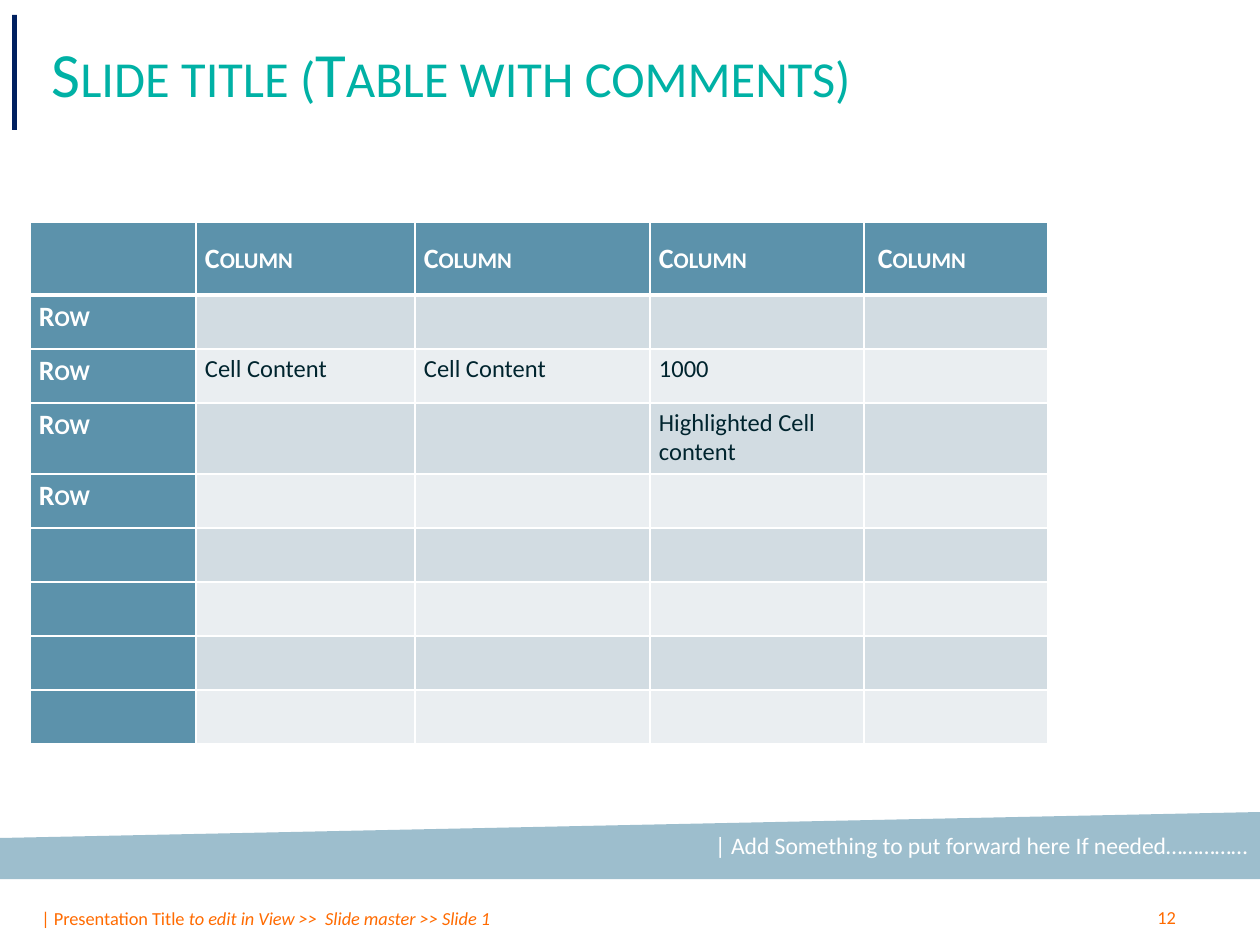
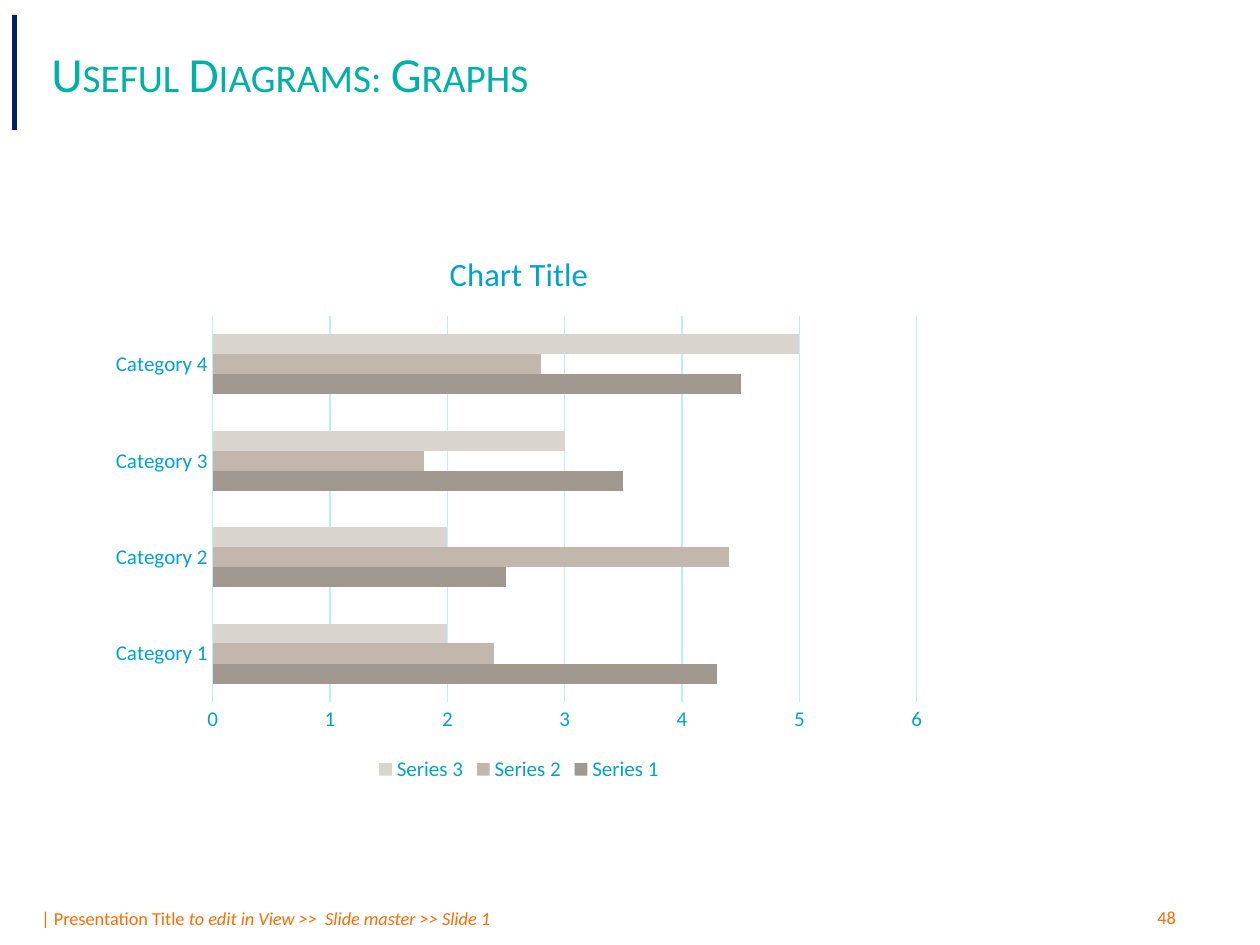
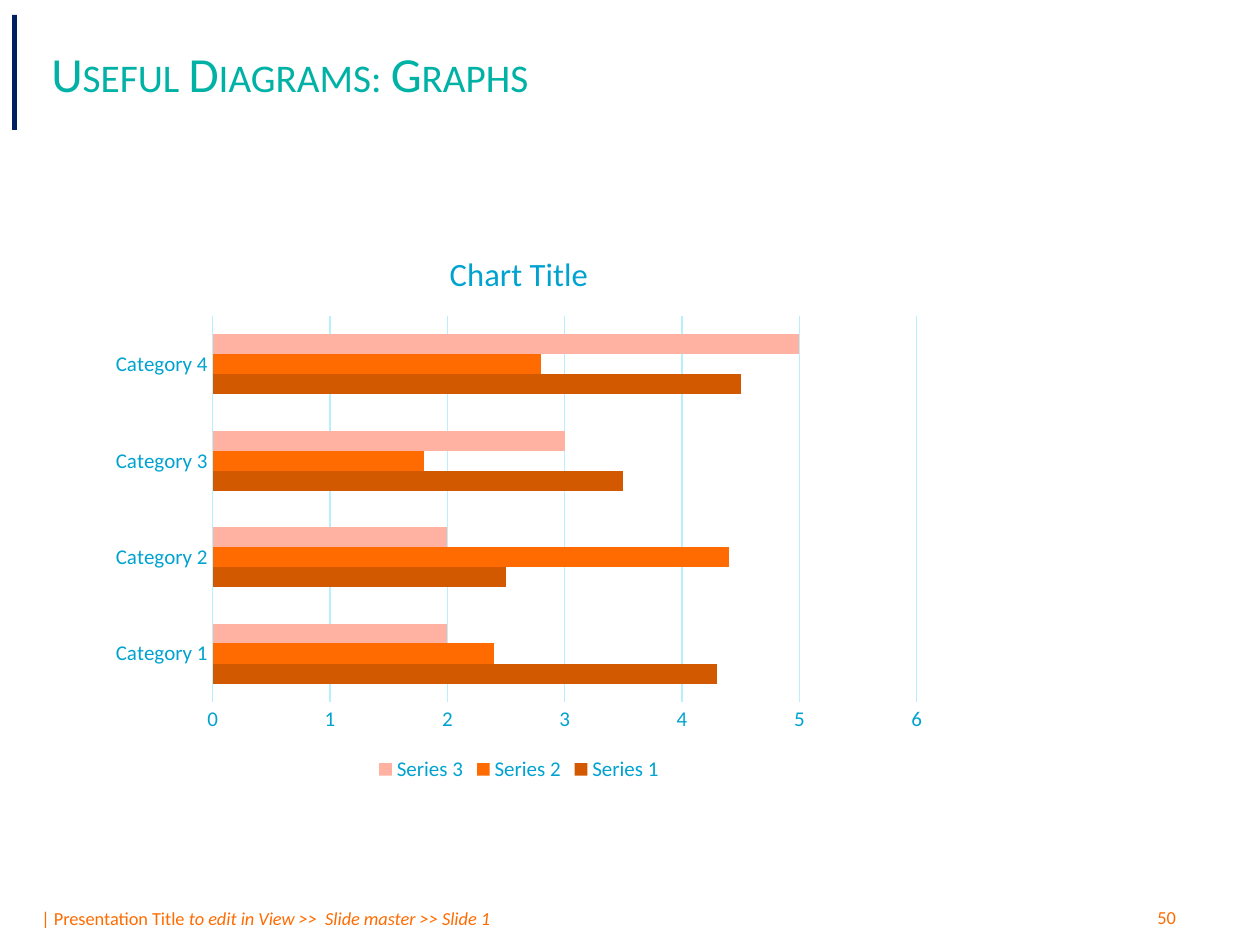
"""Build a table slide and two bar chart slides that share one frame."""
import pptx
import pptx.chart.data
import pptx.dml.color
import pptx.enum.chart
import pptx.enum.shapes
import pptx.enum.text
import pptx.oxml
import pptx.oxml.ns
import pptx.util

SCALE = 914400 / 126
FONT = "Calibri"
COLORS = {
    "title": "00B1A5", "accent": "002060", "footer": "FF6B00", "band": "9DBECD",
    "white": "FFFFFF", "header": "5C92AB", "odd": "D2DCE2", "even": "EAEEF1",
    "ink": "00242E", "chart_text": "00A3D0", "grid": "B9F0FF",
}
GREYS = ["A1988F", "C2B7AD", "DAD4CF"]
ORANGES = ["D35900", "FF6B00", "FFB2A2"]

TABLE_ROWS = [
    ["", "Column", "Column", "Column", " Column"],
    ["Row", "", "", "", ""],
    ["Row", "Cell Content", "Cell Content", "1000", ""],
    ["Row", "", "", "Highlighted Cell content", ""],
    ["Row", "", "", "", ""],
] + [[""] * 5] * 4
COLUMN_WIDTHS = [166, 219, 235, 214, 184]
ROW_HEIGHTS = [73, 54, 54, 71] + [54] * 5

CATEGORIES = ["Category 1", "Category 2", "Category 3", "Category 4"]
SERIES = {
    "Series 1": [4.3, 2.5, 3.5, 4.5],
    "Series 2": [2.4, 4.4, 1.8, 2.8],
    "Series 3": [2, 2, 3, 5],
}


def px(length):
    """Turn pixels into EMU."""
    return pptx.util.Emu(round(length * SCALE))


def rgb(color):
    """Turn a hex string into a colour."""
    return pptx.dml.color.RGBColor.from_string(color)


def style_font(font, size, color, bold=False):
    """Set the face, size and colour of a font."""
    font.name = FONT
    font.size = pptx.util.Pt(size)
    font.bold = bold
    font.color.rgb = rgb(color)


def set_small_caps(paragraph):
    """Show a paragraph in small capitals."""
    paragraph._p.get_or_add_pPr().get_or_add_defRPr().set("cap", "small")


def fill_plain(shape, color):
    """Give a shape a flat fill without line or shadow."""
    shape.shadow.inherit = False
    shape.fill.solid()
    shape.fill.fore_color.rgb = rgb(color)
    shape.line.fill.background()


def add_text(slide, box, text, size, color):
    """Add a wrapping text box and return its frame."""
    frame = slide.shapes.add_textbox(*map(px, box)).text_frame
    frame.word_wrap = True
    paragraph = frame.paragraphs[0]
    paragraph.add_run().text = text
    style_font(paragraph.font, size, color)
    return frame


def add_frame(presentation, title, title_size, title_width, number):
    """Add a slide with accent bar, title, footer and slide number."""
    slide = presentation.slides.add_slide(presentation.slide_layouts[6])
    footer = add_text(slide, (29, 901, 1033, 35), "| Presentation Title ", 10.5, COLORS["footer"])
    hint = footer.paragraphs[0].add_run()
    hint.text = "to edit in View >>  Slide master >> Slide 1"
    hint.font.italic = True
    add_text(slide, (1145, 900, 101, 35), str(number), 10.5, COLORS["footer"])
    bar = slide.shapes.add_shape(
        pptx.enum.shapes.MSO_SHAPE.RECTANGLE, *map(px, (12, 15, 5, 115)))
    fill_plain(bar, COLORS["accent"])
    heading = add_text(slide, (39, 31, title_width, 83), title, title_size, COLORS["title"])
    heading.vertical_anchor = pptx.enum.text.MSO_ANCHOR.MIDDLE
    set_small_caps(heading.paragraphs[0])
    return slide


def add_band(slide, box, rise, text):
    """Add a full-width band whose top edge climbs to the right."""
    left, top, width, height = box
    builder = slide.shapes.build_freeform(left, top + rise, scale=SCALE)
    builder.add_line_segments([
        (left + width, top), (left + width, top + height), (left, top + height)])
    band = builder.convert_to_shape()
    fill_plain(band, COLORS["band"])
    frame = band.text_frame
    frame.word_wrap = True
    frame.vertical_anchor = pptx.enum.text.MSO_ANCHOR.MIDDLE
    paragraph = frame.paragraphs[0]
    paragraph.text = text
    paragraph.alignment = pptx.enum.text.PP_ALIGN.RIGHT
    style_font(paragraph.font, 13.5, COLORS["white"])


def set_borders(cell, row):
    """Draw white cell borders, thick under the header row."""
    widths = {"L": 1, "R": 1, "T": 3 if row == 1 else 1, "B": 3 if row == 0 else 1}
    for side, width in widths.items():
        cell._tc.get_or_add_tcPr().append(pptx.oxml.parse_xml(
            f'<a:ln{side} {pptx.oxml.ns.nsdecls("a")} w="{pptx.util.Pt(width)}">'
            f'<a:solidFill><a:srgbClr val="{COLORS["white"]}"/></a:solidFill></a:ln{side}>'))


def fill_cell(cell, row, column, text):
    """Style one cell as header or banded body and write its text."""
    is_header = row == 0 or column == 0
    set_borders(cell, row)
    cell.fill.solid()
    cell.fill.fore_color.rgb = rgb(COLORS["header" if is_header else "odd" if row % 2 else "even"])
    cell.margin_left = cell.margin_right = px(9)
    cell.margin_top = cell.margin_bottom = px(5)
    if row == 0:
        cell.vertical_anchor = pptx.enum.text.MSO_ANCHOR.MIDDLE
    paragraph = cell.text_frame.paragraphs[0]
    paragraph.text = text
    if is_header:
        style_font(paragraph.font, 16, COLORS["white"], bold=True)
        set_small_caps(paragraph)
    else:
        style_font(paragraph.font, 14, COLORS["ink"])


def add_content_table(slide, left, top):
    """Add the table with header row and header column."""
    box = (left, top, sum(COLUMN_WIDTHS), sum(ROW_HEIGHTS))
    table = slide.shapes.add_table(
        len(ROW_HEIGHTS), len(COLUMN_WIDTHS), *map(px, box)).table
    for column, width in zip(table.columns, COLUMN_WIDTHS):
        column.width = px(width)
    for row, height in zip(table.rows, ROW_HEIGHTS):
        row.height = px(height)
    for row, texts in enumerate(TABLE_ROWS):
        for column, text in enumerate(texts):
            fill_cell(table.cell(row, column), row, column, text)


def style_axis(axis):
    """Remove tick marks and set the label font of an axis."""
    axis.major_tick_mark = axis.minor_tick_mark = pptx.enum.chart.XL_TICK_MARK.NONE
    style_font(axis.tick_labels.font, 12, COLORS["chart_text"])


def style_line(line):
    """Give a chart line the thin grid look."""
    line.color.rgb = rgb(COLORS["grid"])
    line.width = pptx.util.Pt(0.75)


def add_bar_chart(slide, box, series_colors):
    """Add the clustered bar chart in the given series colours."""
    data = pptx.chart.data.CategoryChartData()
    data.categories = CATEGORIES
    for name, values in SERIES.items():
        data.add_series(name, values)
    chart = slide.shapes.add_chart(
        pptx.enum.chart.XL_CHART_TYPE.BAR_CLUSTERED, *map(px, box), data).chart
    style_font(chart.font, 10, COLORS["ink"])
    chart.has_title = True
    title = chart.chart_title.text_frame.paragraphs[0]
    title.text = "Chart Title"
    style_font(title.font, 18.6, COLORS["chart_text"])
    chart.has_legend = True
    chart.legend.position = pptx.enum.chart.XL_LEGEND_POSITION.BOTTOM
    chart.legend.include_in_layout = False
    style_font(chart.legend.font, 12, COLORS["chart_text"])

    style_axis(chart.category_axis)
    style_line(chart.category_axis.format.line)
    value_axis = chart.value_axis
    style_axis(value_axis)
    value_axis.minimum_scale, value_axis.maximum_scale = 0, 6
    value_axis.major_unit = 1
    value_axis.format.line.fill.background()
    style_line(value_axis.major_gridlines.format.line)

    plot = chart.plots[0]
    plot.gap_width = 182
    plot.vary_by_categories = False
    for series, color in zip(plot.series, series_colors):
        series.format.fill.solid()
        series.format.fill.fore_color.rgb = rgb(color)


def build_table_slide(presentation):
    """Build the slide with the table and the closing band."""
    slide = add_frame(presentation, "Slide title (Table with comments)", 36, 966, 12)
    add_content_table(slide, 30, 222)
    add_band(slide, (0, 812, 1260, 67), 26,
             "| Add Something to put forward here If needed……………")


def build_chart_slide(presentation, number, series_colors):
    """Build a slide with one bar chart."""
    slide = add_frame(presentation, "Useful Diagrams: Graphs", 28, 931, number)
    add_bar_chart(slide, (99, 227, 840, 560), series_colors)


def main():
    """Build and save the presentation."""
    presentation = pptx.Presentation()
    presentation.slide_width, presentation.slide_height = px(1260), px(945)
    build_table_slide(presentation)
    build_chart_slide(presentation, 48, GREYS)
    build_chart_slide(presentation, 50, ORANGES)
    presentation.save("out.pptx")


if __name__ == "__main__":
    main()
